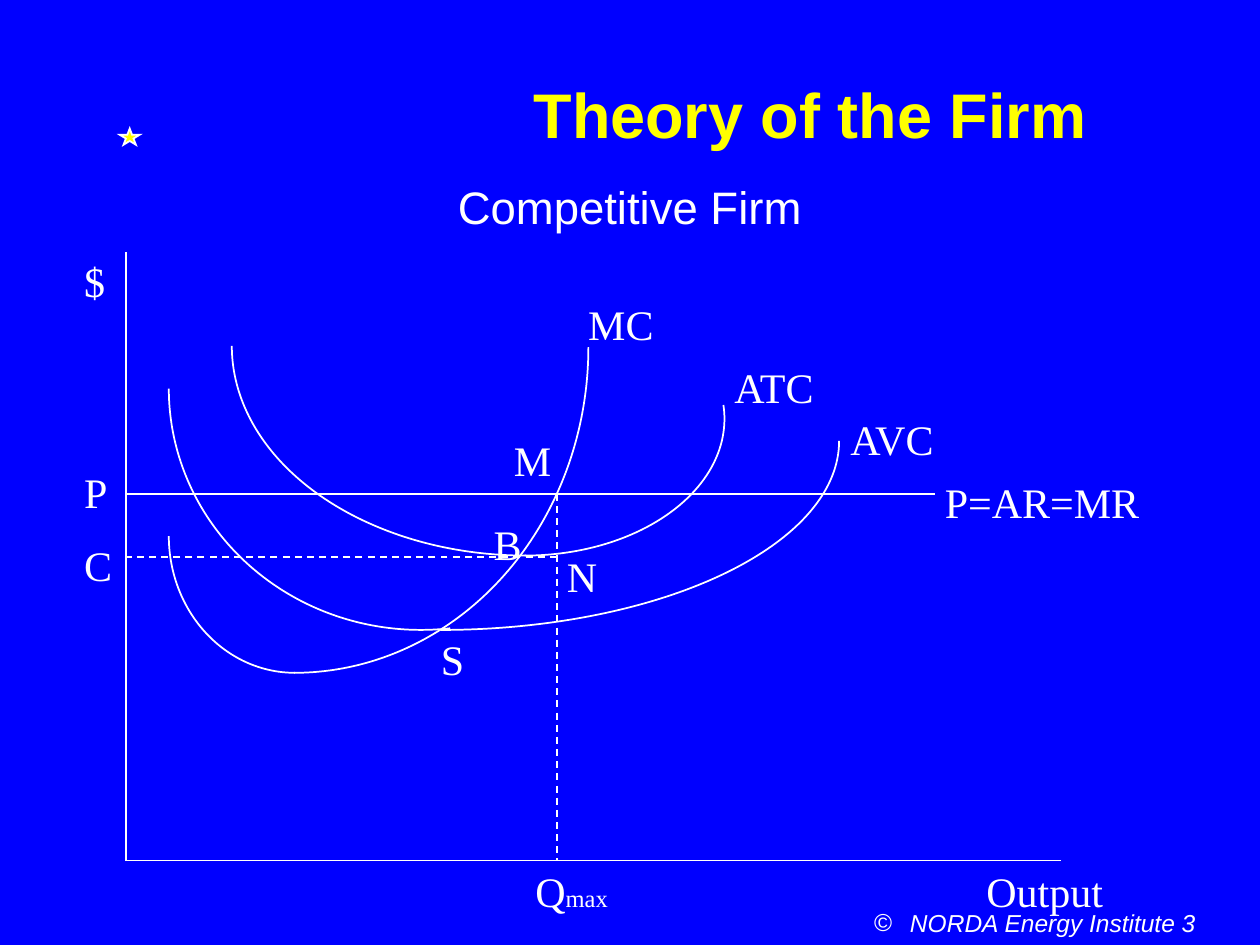
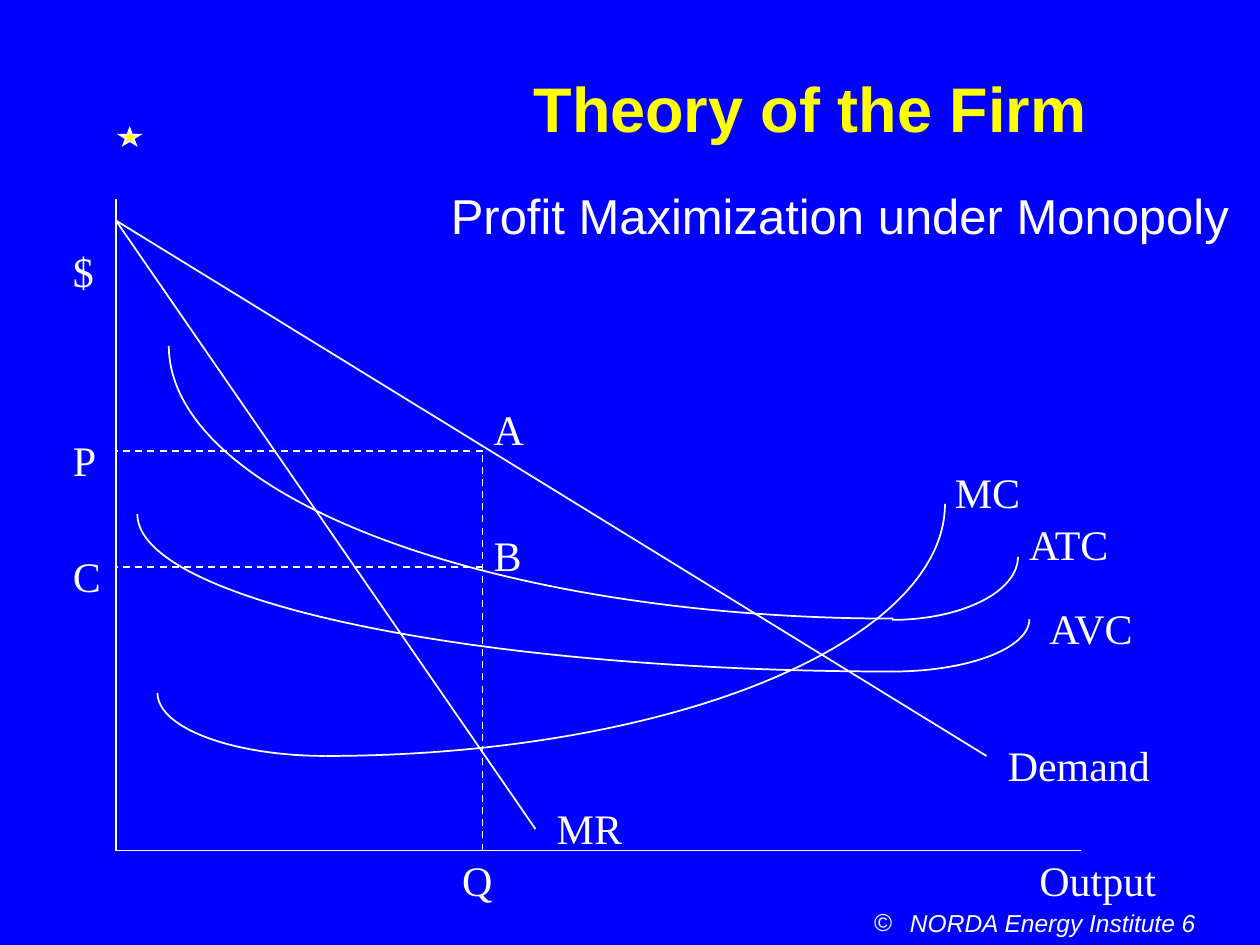
"""Build two economics slides: the competitive firm and the monopoly."""
from lxml import etree
from pptx import Presentation
from pptx.dml.color import RGBColor
from pptx.enum import dml, shapes, text
from pptx.oxml import ns
from pptx.util import Inches, Pt

COLORS = {"background": "0000FF", "title": "FFFF00", "ink": "FFFFFF"}
HEADING_FONT, LABEL_FONT = "Arial", "Times New Roman"
LINE_WIDTH = Pt(0.99)
ANGLE_UNIT = 0.6
LABEL_WIDTHS = {
    "$": 0.37, "P": 0.39, "C": 0.42, "Q": 0.44, "Qmax": 0.78, "A": 0.44, "B": 0.42,
    "M": 0.5, "N": 0.44, "S": 0.39, "MC": 0.72, "MR": 0.72, "ATC": 0.87, "AVC": 0.91,
    "P=AR=MR": 1.75, "Demand": 1.33, "Output": 1.13,
}
FALLING, RISING = (90, 180), (0, 90)

SLIDES = [
    {
        "number": 3,
        "title_height": 0.84,
        "subtitle": "Competitive Firm",
        "subtitle_box": (0.75, 1.42, 8.5, 0.5),
        "subtitle_size": 26,
        "line_spacing": 0.9,
        "space_before": 6.5,
        "solid_lines": [(1, 2, 1, 6.83), (1, 6.83, 8.42, 6.83), (1, 3.92, 7.42, 3.92)],
        "dashed_lines": [(4.42, 4.42, 1, 4.42), (4.42, 3.92, 4.42, 6.83)],
        "arcs": [
            ((1.84, 1.08, 4.67, 3.33), FALLING), ((2.58, 2.24, 3.17, 2.17), (356, 90)),
            ((1.34, 1.17, 4, 3.83), (83, 180)), ((0.33, 2, 6.33, 3), RISING),
            ((1.34, 3.17, 2, 2.17), FALLING), ((0, 0.17, 4.67, 5.17), RISING),
        ],
        "labels": [
            ("$", "", 0.57, 1.98), ("P", "", 0.57, 3.65), ("C", "", 0.57, 4.23),
            ("MC", "", 4.57, 2.32), ("ATC", "", 5.73, 2.82), ("AVC", "", 6.65, 3.23),
            ("P=AR=MR", "", 7.4, 3.73), ("M", "", 3.98, 3.4), ("B", "", 3.82, 4.07),
            ("N", "", 4.4, 4.32), ("S", "", 3.4, 4.98),
            ("Q", "max", 4.15, 6.82), ("Output", "", 7.73, 6.82),
        ],
    },
    {
        "number": 6,
        "title_height": 0.75,
        "subtitle": "Profit Maximization under Monopoly",
        "subtitle_box": (3.33, 1.42, 6.67, 0.67),
        "subtitle_size": 28,
        "line_spacing": 1.0,
        "space_before": 7,
        "solid_lines": [
            (0.92, 1.58, 0.92, 6.75), (0.92, 6.75, 8.58, 6.75),
            (0.92, 1.75, 7.83, 6), (0.92, 1.75, 4.25, 6.58),
        ],
        "dashed_lines": [
            (3.83, 6.75, 3.83, 3.58), (3.83, 3.58, 0.92, 3.58), (3.83, 4.5, 0.92, 4.5),
        ],
        "arcs": [
            ((1.25, 5, 2.67, 1), FALLING), ((-2.33, 2, 9.83, 4), RISING),
            ((1.09, 2.83, 12, 2.5), FALLING), ((6, 4.5, 2.17, 0.83), RISING),
            ((1.34, 0.58, 11.5, 4.33), FALLING), ((6.08, 3.92, 2, 1), RISING),
        ],
        "labels": [
            ("$", "", 0.48, 1.9), ("P", "", 0.48, 3.4), ("C", "", 0.48, 4.32),
            ("A", "", 3.82, 3.15), ("B", "", 3.82, 4.15), ("MC", "", 7.48, 3.65),
            ("ATC", "", 8.07, 4.07), ("AVC", "", 8.23, 4.73), ("Demand", "", 7.9, 5.82),
            ("MR", "", 4.32, 6.32), ("Q", "", 3.57, 6.73), ("Output", "", 8.15, 6.73),
        ],
    },
]


def add_text(slide, box, runs, font, color="ink", bold=False, italic=False, wrap=True):
    """Add a one-paragraph text box from (words, size) runs."""
    shape = slide.shapes.add_textbox(*map(Inches, box))
    shape.text_frame.word_wrap = wrap
    paragraph = shape.text_frame.paragraphs[0]
    for words, size in runs:
        run = paragraph.add_run()
        run.text = words
        run.font.name = font
        run.font.size = Pt(size)
        run.font.bold = bold
        run.font.italic = italic
        run.font.color.rgb = RGBColor.from_string(COLORS[color])
    return shape, paragraph


def style_line(shape):
    """Give a shape or connector the thin white outline."""
    shape.line.color.rgb = RGBColor.from_string(COLORS["ink"])
    shape.line.width = LINE_WIDTH


presentation = Presentation()
presentation.slide_width = Inches(10)
presentation.slide_height = Inches(7.5)

for content in SLIDES:
    slide = presentation.slides.add_slide(presentation.slide_layouts[6])
    slide.background.fill.solid()
    slide.background.fill.fore_color.rgb = RGBColor.from_string(COLORS["background"])

    footer_words = f" NORDA Energy Institute {content['number']}"
    footer, paragraph = add_text(
        slide, (6.57, 7.16, 3.43, 0.33), [(footer_words, 14)], HEADING_FONT, italic=True)
    properties = paragraph._p.get_or_add_pPr()
    properties.set("marL", str(Inches(0.5)))
    properties.set("indent", str(Inches(-0.23)))
    bullet_color = etree.SubElement(properties, ns.qn("a:buClr"))
    etree.SubElement(bullet_color, ns.qn("a:srgbClr"), val=COLORS["ink"])
    etree.SubElement(properties, ns.qn("a:buFont"), typeface=HEADING_FONT)
    etree.SubElement(properties, ns.qn("a:buChar"), char="©")

    star = slide.shapes.add_shape(
        shapes.MSO_SHAPE.STAR_5_POINT, *map(Inches, (0.95, 1.02, 0.16, 0.13)))
    star.shadow.inherit = False
    star.fill.solid()
    star.fill.fore_color.rgb = RGBColor.from_string(COLORS["title"])
    style_line(star)
    etree.SubElement(star.line._get_or_add_ln(), ns.qn("a:miter"), lim="800000")

    title, paragraph = add_text(
        slide, (3.43, 0.48, 6, content["title_height"]), [("Theory of the Firm", 36)],
        HEADING_FONT, color="title", bold=True)
    title.text_frame.vertical_anchor = text.MSO_ANCHOR.MIDDLE
    paragraph.alignment = text.PP_ALIGN.CENTER

    subtitle, paragraph = add_text(
        slide, content["subtitle_box"], [(content["subtitle"], content["subtitle_size"])],
        HEADING_FONT)
    paragraph.alignment = text.PP_ALIGN.CENTER
    paragraph.line_spacing = content["line_spacing"]
    paragraph.space_before = Pt(content["space_before"])

    for kind in ("solid_lines", "dashed_lines"):
        for ends in content[kind]:
            line = slide.shapes.add_connector(
                shapes.MSO_CONNECTOR.STRAIGHT, *map(Inches, ends))
            style_line(line)
            if kind == "dashed_lines":
                line.line.dash_style = dml.MSO_LINE.DASH
            etree.SubElement(line._element.spPr, ns.qn("a:effectLst"))

    for box, angles in content["arcs"]:
        arc = slide.shapes.add_shape(shapes.MSO_SHAPE.ARC, *map(Inches, box))
        for index, angle in enumerate(angles):
            arc.adjustments[index] = angle * ANGLE_UNIT
        arc.shadow.inherit = False
        arc.fill.background()
        style_line(arc)

    for name, subscript, left, top in content["labels"]:
        runs = [(name, 24)] + ([(subscript, 14)] if subscript else [])
        box = (left, top, LABEL_WIDTHS[name + subscript], 0.5)
        add_text(slide, box, runs, LABEL_FONT, wrap=False)

presentation.save("out.pptx")
